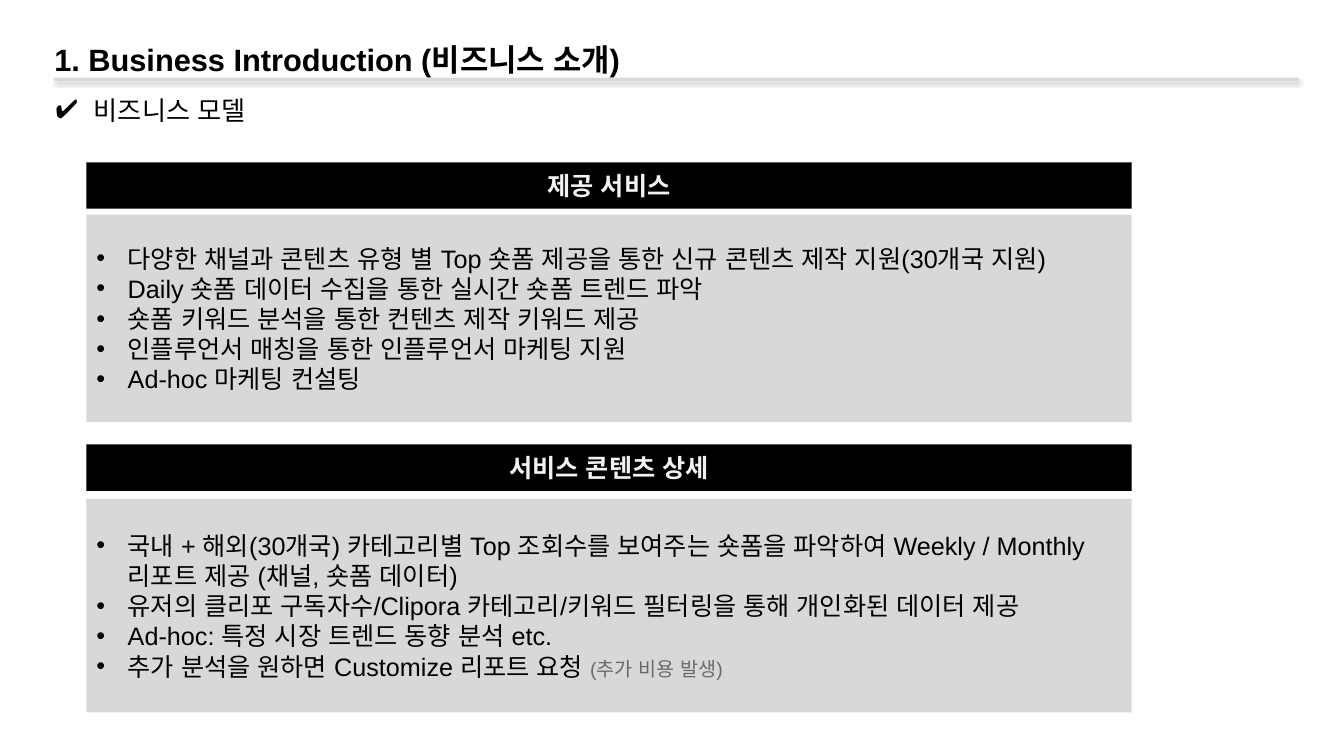
from lxml import etree
from pptx import Presentation
from pptx.dml.color import RGBColor
from pptx.enum import shapes, text
from pptx.oxml import parse_xml
from pptx.oxml.ns import nsdecls, qn
from pptx.util import Cm, Pt


def add_run(p, words, size, color, bold=False):
    r = p.add_run()
    r.text = words
    f = r.font
    f.size, f.bold, f.name = Pt(size), bold, "Arial"
    f.color.rgb = RGBColor.from_string(color)
    etree.SubElement(f._element, qn("a:ea"), typeface="Arial")


def set_bullet(p, char, indent):
    """Give the paragraph a black bullet with a hanging indent."""
    pPr = p._p.get_or_add_pPr()
    pPr.set("marL", str(indent))
    pPr.set("indent", str(-indent))
    for xml in ('<a:buClr {}><a:srgbClr val="000000"/></a:buClr>',
                '<a:buFont {} typeface="Arial"/>',
                '<a:buChar {} char="' + char + '"/>'):
        pPr.append(parse_xml(xml.format(nsdecls("a"))))


prs = Presentation()
prs.slide_width, prs.slide_height = Cm(33.87), Cm(19.05)
s = prs.slides.add_slide(prs.slide_layouts[1])

# Title
title = s.shapes.title
title.left, title.top, title.width, title.height = Cm(1.37), Cm(0.84), Cm(32), Cm(1.12)
tf = title.text_frame
tf.margin_left = tf.margin_right = tf.margin_top = tf.margin_bottom = 0
tf.vertical_anchor = text.MSO_ANCHOR.TOP
tf.auto_size = text.MSO_AUTO_SIZE.NONE
p = tf.paragraphs[0]
p.alignment = text.PP_ALIGN.LEFT
p.line_spacing = 1.2
add_run(p, "1. Business Introduction (비즈니스 소개)", 22, "000000", True)

# Subtitle
body = s.placeholders[1]
body.left, body.top, body.width, body.height = Cm(1.14), Cm(2.24), Cm(31.6), Cm(1.57)
tf = body.text_frame
tf.auto_size = text.MSO_AUTO_SIZE.NONE
p = tf.paragraphs[0]
p.space_before = Pt(0)
set_bullet(p, "✔", Cm(0.97))
add_run(p, "비즈니스 모델", 18.7, "000000")

# Rule under the title, with a soft shadow
rule = s.shapes.add_connector(shapes.MSO_CONNECTOR.STRAIGHT, Cm(1.37), Cm(2), Cm(32.74), Cm(2))
rule.line.color.rgb = RGBColor.from_string("D8D8D8")
rule.line.width = Pt(2)
rule._element.spPr.append(parse_xml(
    f'<a:effectLst {nsdecls("a")}>'
    f'<a:outerShdw blurRad="{Pt(3.1)}" dist="{Pt(1.6)}" dir="5400000" rotWithShape="0">'
    '<a:srgbClr val="000000"><a:alpha val="38000"/></a:srgbClr>'
    '</a:outerShdw></a:effectLst>'))

# Sections: heading, heading top, panel top, panel height, bullets made of (words, size, colour)
sections = [
    ("제공 서비스", 4.09, 5.41, 5.23, [
        [("다양한 채널과 콘텐츠 유형 별 Top 숏폼 제공을 통한 신규 콘텐츠 제작 지원(30개국 지원)", 18, "000000")],
        [("Daily 숏폼 데이터 수집을 통한 실시간 숏폼 트렌드 파악", 18, "000000")],
        [("숏폼 키워드 분석을 통한 컨텐츠 제작 키워드 제공", 18, "000000")],
        [("인플루언서 매칭을 통한 인플루언서 마케팅 지원", 18, "000000")],
        [("Ad-hoc 마케팅 컨설팅", 18, "000000")],
    ]),
    ("서비스 콘텐츠 상세", 11.2, 12.57, 5.38, [
        [("국내 + 해외(30개국) 카테고리별 Top 조회수를 보여주는 숏폼을 파악하여 "
          "Weekly / Monthly 리포트 제공 (채널, 숏폼 데이터)", 18, "000000")],
        [("유저의 클리포 구독자수/Clipora 카테고리/키워드 필터링을 통해 개인화된 데이터 제공", 18, "000000")],
        [("Ad-hoc: 특정 시장 트렌드 동향 분석 etc.", 18, "000000")],
        [("추가 분석을 원하면 Customize 리포트 요청 ", 18, "000000"),
         ("(추가 비용 발생)", 14, "6E6969")],
    ]),
]
for heading, head_top, panel_top, panel_height, bullets in sections:
    frames = []
    for top, height, fill in ((panel_top, panel_height, "D8D8D8"), (head_top, 1.17, "000000")):
        sp = s.shapes.add_shape(shapes.MSO_SHAPE.RECTANGLE, Cm(2.18), Cm(top), Cm(26.34), Cm(height))
        sp.shadow.inherit = False
        sp.fill.solid()
        sp.fill.fore_color.rgb = RGBColor.from_string(fill)
        sp.line.fill.background()
        sp.text_frame.vertical_anchor = text.MSO_ANCHOR.MIDDLE
        frames.append(sp.text_frame)
    panel, head = frames

    head.margin_left = head.margin_right = head.margin_top = head.margin_bottom = 0
    p = head.paragraphs[0]
    p.alignment = text.PP_ALIGN.CENTER
    add_run(p, heading, 18, "F2F2F2", True)

    for i, runs in enumerate(bullets):
        p = panel.add_paragraph() if i else panel.paragraphs[0]
        p.alignment = text.PP_ALIGN.LEFT
        set_bullet(p, "•", Cm(0.79))
        for words, size, color in runs:
            add_run(p, words, size, color)

prs.save("out.pptx")
